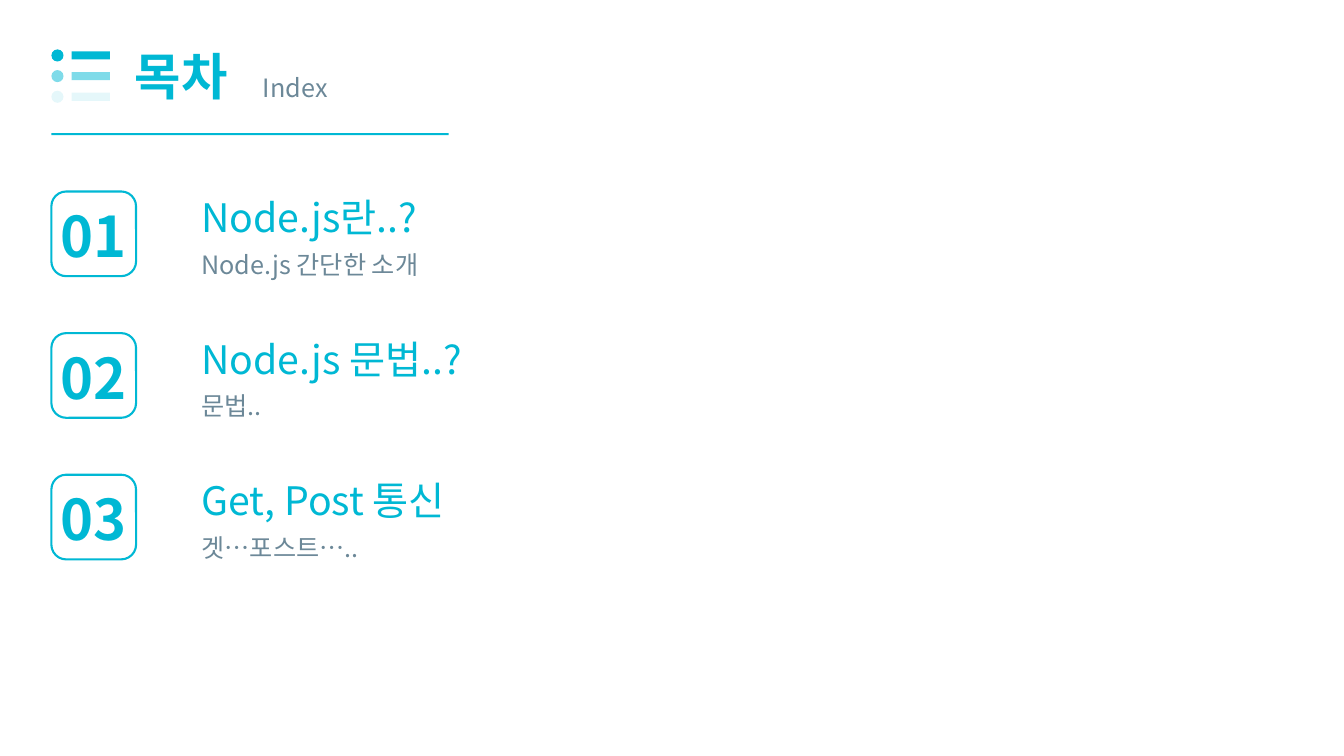
from lxml import etree
from pptx import Presentation
from pptx.dml.color import RGBColor
from pptx.enum import shapes, text
from pptx.oxml.ns import qn
from pptx.util import Inches, Pt

FONT = "Noto Sans CJK KR"
CYAN = RGBColor(0x00, 0xB8, 0xD4)
GREY = RGBColor(0x6C, 0x88, 0x98)

TITLE, SUBTITLE = "목차", "Index"
CHAPTERS = [
    ("Node.js란..?", "Node.js 간단한 소개"),
    ("Node.js 문법..?", "문법.."),
    ("Get, Post 통신", "겟…포스트….."),
]
ICON_OPACITIES = [100, 50, 10]

LEFT = 0.51
ICON_TOP, ICON_PITCH = 0.49, 0.205
FIRST_TOP, LAST_TOP = 1.9, 4.71
CHAPTER_PITCH = (LAST_TOP - FIRST_TOP) / (len(CHAPTERS) - 1)


def add_shape(slide, kind, left, top, width, height):
    """Add a preset shape without shadow, measured in inches."""
    shape = slide.shapes.add_shape(
        kind, Inches(left), Inches(top), Inches(width), Inches(height))
    shape.shadow.inherit = False
    return shape


def add_solid(slide, kind, left, top, width, height, opacity=100):
    """Add a cyan shape without outline, with an opacity in percent."""
    shape = add_shape(slide, kind, left, top, width, height)
    shape.fill.solid()
    shape.fill.fore_color.rgb = CYAN
    shape.line.fill.background()
    if opacity < 100:
        color = shape.fill._xPr.find(qn("a:solidFill"))[0]
        etree.SubElement(color, qn("a:alpha")).set("val", str(opacity * 1000))


def add_text(slide, content, left, top, width, height, size, color, bold=False):
    """Add a one-line text box in the slide font."""
    box = slide.shapes.add_textbox(
        Inches(left), Inches(top), Inches(width), Inches(height))
    frame = box.text_frame
    frame.word_wrap = True
    frame.auto_size = text.MSO_AUTO_SIZE.SHAPE_TO_FIT_TEXT
    frame.text = content
    font = frame.paragraphs[0].runs[0].font
    font.name, font.size, font.bold = FONT, Pt(size), bold
    font.color.rgb = color
    east_asian = etree.SubElement(font._element, qn("a:ea"))
    east_asian.set("typeface", FONT)


def add_header(slide):
    """Add the list icon, the title, the subtitle and the rule."""
    for row, opacity in enumerate(ICON_OPACITIES):
        top = ICON_TOP + row * ICON_PITCH
        add_solid(slide, shapes.MSO_SHAPE.RECTANGLE,
                  0.71, top + 0.02, 0.38, 0.08, opacity)
        add_solid(slide, shapes.MSO_SHAPE.OVAL, LEFT, top, 0.12, 0.12, opacity)
    add_text(slide, TITLE, 1.24, 0.4, 1.34, 0.71, 36, CYAN, bold=True)
    add_text(slide, SUBTITLE, 2.51, 0.67, 1.23, 0.4, 18, GREY)
    add_solid(slide, shapes.MSO_SHAPE.RECTANGLE, LEFT, 1.32, 3.94, 0.02)


def add_chapter(slide, number, heading, summary, top):
    """Add a numbered badge with its heading and summary."""
    badge = add_shape(slide, shapes.MSO_SHAPE.ROUNDED_RECTANGLE,
                      LEFT, top, 0.84, 0.84)
    badge.adjustments[0] = 0.175
    badge.fill.background()
    badge.line.color.rgb = CYAN
    badge.line.width = Pt(1.5)
    add_text(slide, f"{number:02}", 0.5, top + 0.05, 1.08, 0.77, 40, CYAN, bold=True)
    add_text(slide, heading, 1.9, top - 0.03, 5.68, 0.57, 28, CYAN)
    add_text(slide, summary, 1.9, top + 0.52, 4.84, 0.4, 18, GREY)


presentation = Presentation()
presentation.slide_width = Inches(13.33)
presentation.slide_height = Inches(7.5)
slide = presentation.slides.add_slide(presentation.slide_layouts[6])

add_header(slide)
for index, (heading, summary) in enumerate(CHAPTERS):
    add_chapter(slide, index + 1, heading, summary,
                FIRST_TOP + index * CHAPTER_PITCH)

presentation.save("out.pptx")
